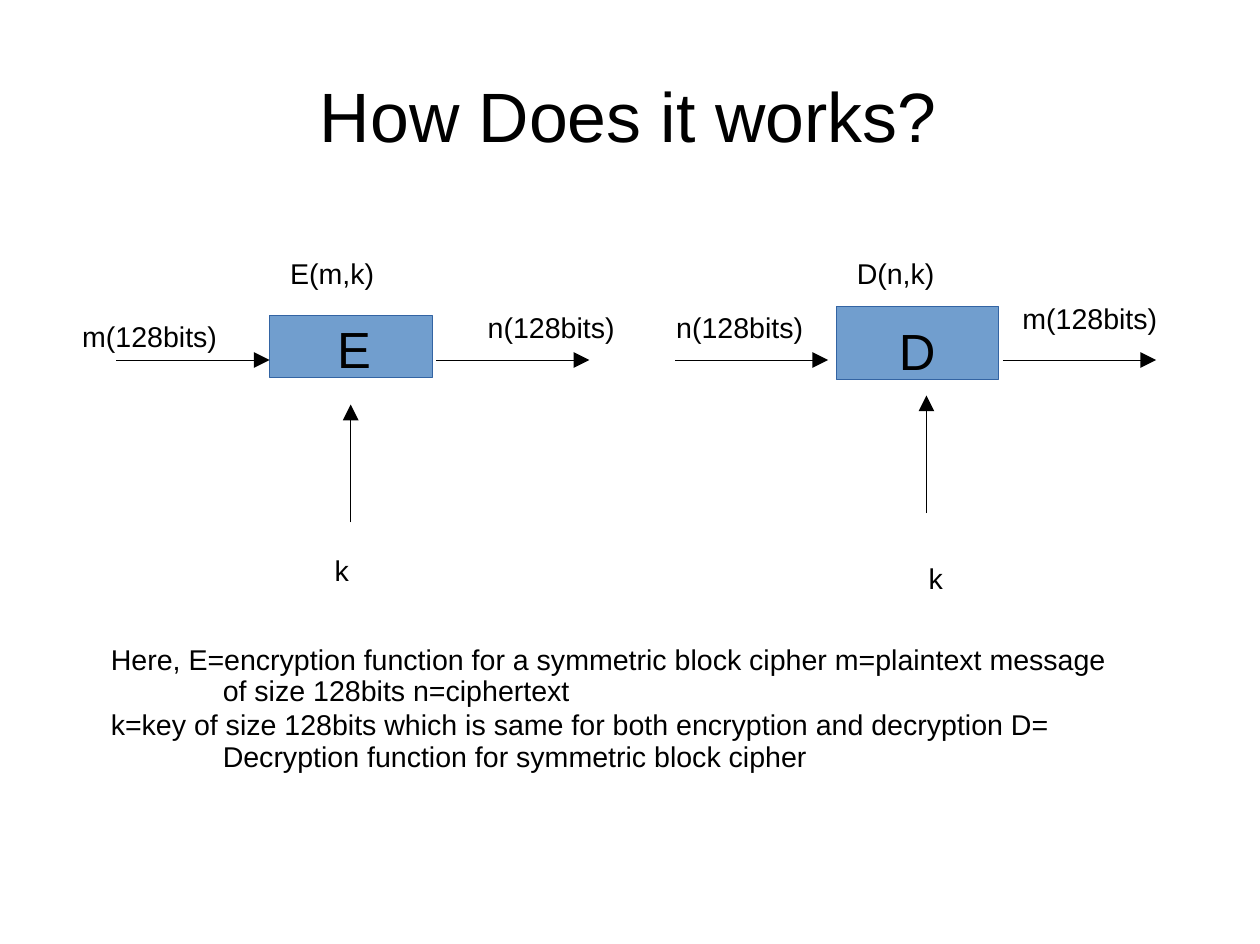
from dataclasses import dataclass

from lxml.etree import SubElement
from pptx import Presentation
from pptx.dml.color import RGBColor as RGB
from pptx.enum.shapes import MSO_CONNECTOR as CONN, MSO_SHAPE as SHAPE
from pptx.enum.text import MSO_ANCHOR as ANCHOR, PP_ALIGN as ALIGN
from pptx.oxml.ns import qn
from pptx.util import Inches, Pt

COLS, ROWS = 110.3, 82.6


@dataclass(frozen=True)
class Theme:
    """Colours, font and type sizes of the slide."""
    ink: RGB = RGB(0, 0, 0)
    fill: RGB = RGB(0x71, 0x9E, 0xCE)
    edge: RGB = RGB(0x33, 0x64, 0xA3)
    font: str = "Arial"
    title: int = 44
    block: int = 32
    body: int = 18
    line: float = 0.25


@dataclass(frozen=True)
class Stage:
    """Words of one cipher stage and its offsets, in grid cells from its box."""
    name: str
    block: tuple
    inset: tuple
    key_tip: tuple
    labels: tuple


THEME = Theme()
FLOW_ROW, FLOW_LEN, KEY_LEN, GAP = 9.3, 13.4, 10.3, 0.4
LABEL_SIZE = (12.1, 3.1)

ENCRYPT = Stage("E", (13.4, 5.4, 14.2, 5.4), (0.06, 0.02), (20.5, 13.2), (
    ("E(m,k)", 15.1, 0), ("m(128bits)", -3.1, 5.5),
    ("n(128bits)", 32.4, 4.7), ("k", 19, 26)))
DECRYPT = Stage("D", (14.1, 4.6, 14.2, 6.4), (0, 0.12), (22, 12.4), (
    ("D(n,k)", 15.8, 0), ("n(128bits)", 0, 4.7),
    ("m(128bits)", 30.3, 3.9), ("k", 22.1, 26.7)))

NOTES = (
    ("Here, E=encryption function for a symmetric block cipher "
     "m=plaintext message of size 128bits n=ciphertext", 0.93, 0),
    ("k=key of size 128bits which is same for both encryption and "
     "decryption D= Decryption function for symmetric block cipher",
     Pt(20.1), 0.5),
)


def cells(*values):
    """Turn grid cells into slide lengths."""
    return [Inches(v / 10) for v in values]


def add_run(p, text, size):
    """Add one run in the theme's font and ink."""
    r = p.add_run()
    r.text = text
    r.font.name = THEME.font
    r.font.size = Pt(size)
    r.font.color.rgb = THEME.ink


def set_frame(tf, left, top, wrap):
    """Anchor text at the top with the given insets in inches."""
    tf.margin_left, tf.margin_top = Inches(left), Inches(top)
    tf.margin_right = tf.margin_bottom = 0
    tf.vertical_anchor = ANCHOR.TOP
    tf.word_wrap = wrap


def add_text(s, box, text, size, inset):
    """Add a single line of text."""
    tf = s.shapes.add_textbox(*cells(*box)).text_frame
    set_frame(tf, 0.01, inset, False)
    add_run(tf.paragraphs[0], text, size)


def add_arrow(s, start, end):
    """Add a thin straight arrow between two grid points."""
    arrow = s.shapes.add_connector(CONN.STRAIGHT, *cells(*start, *end))
    arrow.line.color.rgb = THEME.ink
    arrow.line.width = Pt(THEME.line)
    ln = arrow.line._get_or_add_ln()
    SubElement(ln, qn("a:tailEnd"), type="triangle", w="lg", len="lg")
    SubElement(arrow._element.spPr, qn("a:effectLst"))


def add_block(s, box, stage):
    """Add the coloured block that names the stage's function."""
    sp = s.shapes.add_shape(SHAPE.RECTANGLE, *cells(*box))
    sp.shadow.inherit = False
    sp.fill.solid()
    sp.fill.fore_color.rgb = THEME.fill
    sp.line.color.rgb = THEME.edge
    sp.line.width = Pt(THEME.line)
    set_frame(sp.text_frame, *stage.inset, True)
    p = sp.text_frame.paragraphs[0]
    p.alignment = ALIGN.CENTER
    add_run(p, stage.name, THEME.block)


def add_stage(s, box, stage):
    """Draw a stage: its block, three arrows and four labels."""
    x, y, w, h = box
    dx, dy, bw, bh = stage.block
    add_block(s, (x + dx, y + dy, bw, bh), stage)
    flow_y = y + FLOW_ROW
    out_x = x + dx + bw + GAP
    for start in (x, out_x):
        add_arrow(s, (start, flow_y), (start + FLOW_LEN, flow_y))
    key_x, key_y = x + stage.key_tip[0], y + stage.key_tip[1]
    add_arrow(s, (key_x, key_y + KEY_LEN), (key_x, key_y))
    for text, lx, ly in stage.labels:
        add_text(s, (x + lx, y + ly, *LABEL_SIZE), text, THEME.body, 0.02)


def add_notes(s, box):
    """Add the explanation with hanging indents."""
    tf = s.shapes.add_textbox(*cells(*box)).text_frame
    set_frame(tf, 0, 0.04, True)
    for i, (text, spacing, before) in enumerate(NOTES):
        p = tf.add_paragraph() if i else tf.paragraphs[0]
        p.line_spacing = spacing
        p.space_before = Pt(before)
        pPr = p._p.get_or_add_pPr()
        pPr.set("marL", str(Inches(1)))
        pPr.set("indent", str(Inches(-0.98)))
        add_run(p, text, THEME.body)


def main():
    """Build and save the slide."""
    prs = Presentation()
    prs.slide_width, prs.slide_height = cells(COLS, ROWS)
    s = prs.slides.add_slide(prs.slide_layouts[6])
    add_text(s, (27.9, 6.1, 54.3, 13.9), "How Does it works?",
             THEME.title, 0.03)
    add_stage(s, (10.2, 22.2, 41.4, 29.1), ENCRYPT)
    add_stage(s, (59.1, 22.2, 42.1, 29.8), DECRYPT)
    add_notes(s, (9.5, 56, 88.1, 14.4))
    prs.save("out.pptx")


if __name__ == "__main__":
    main()
